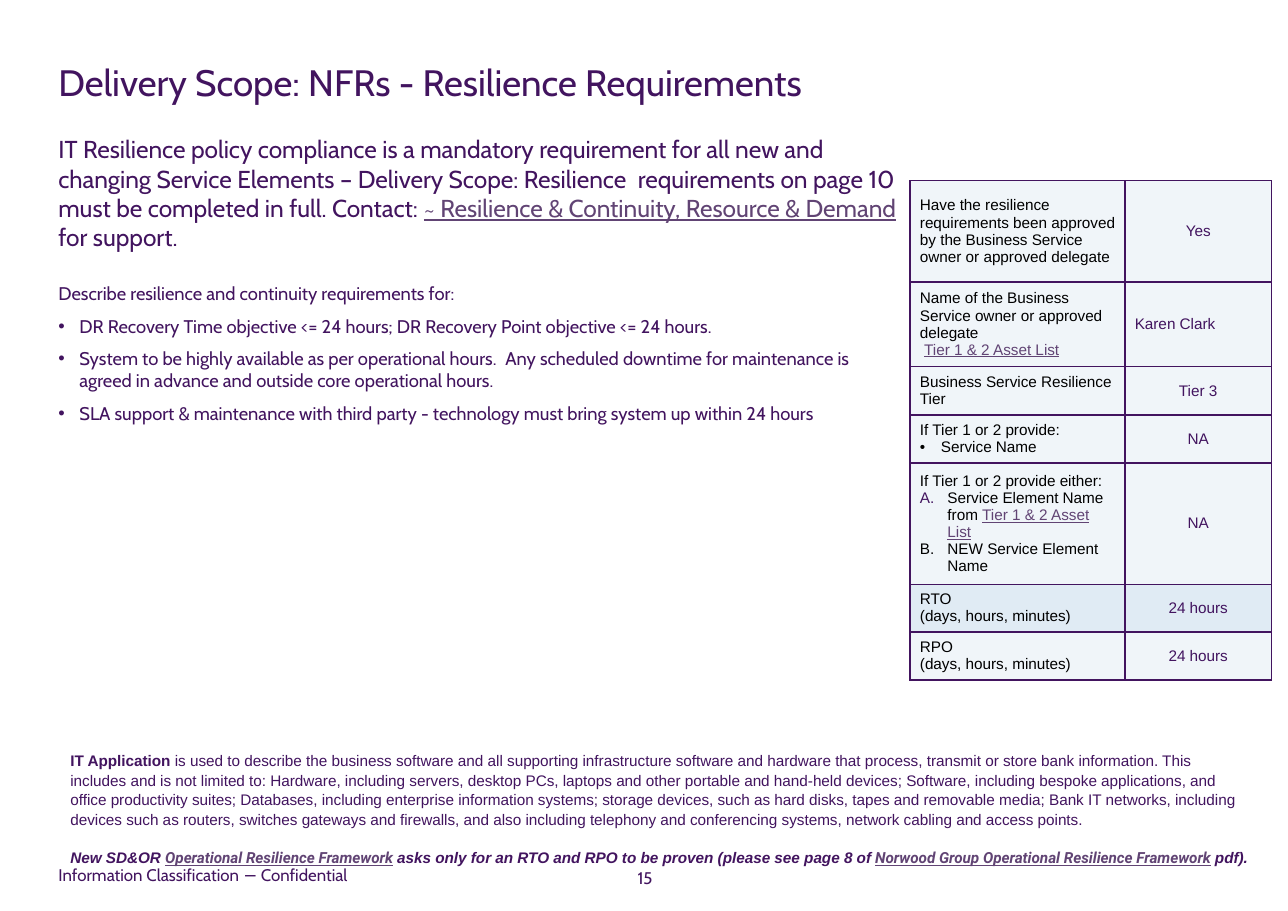
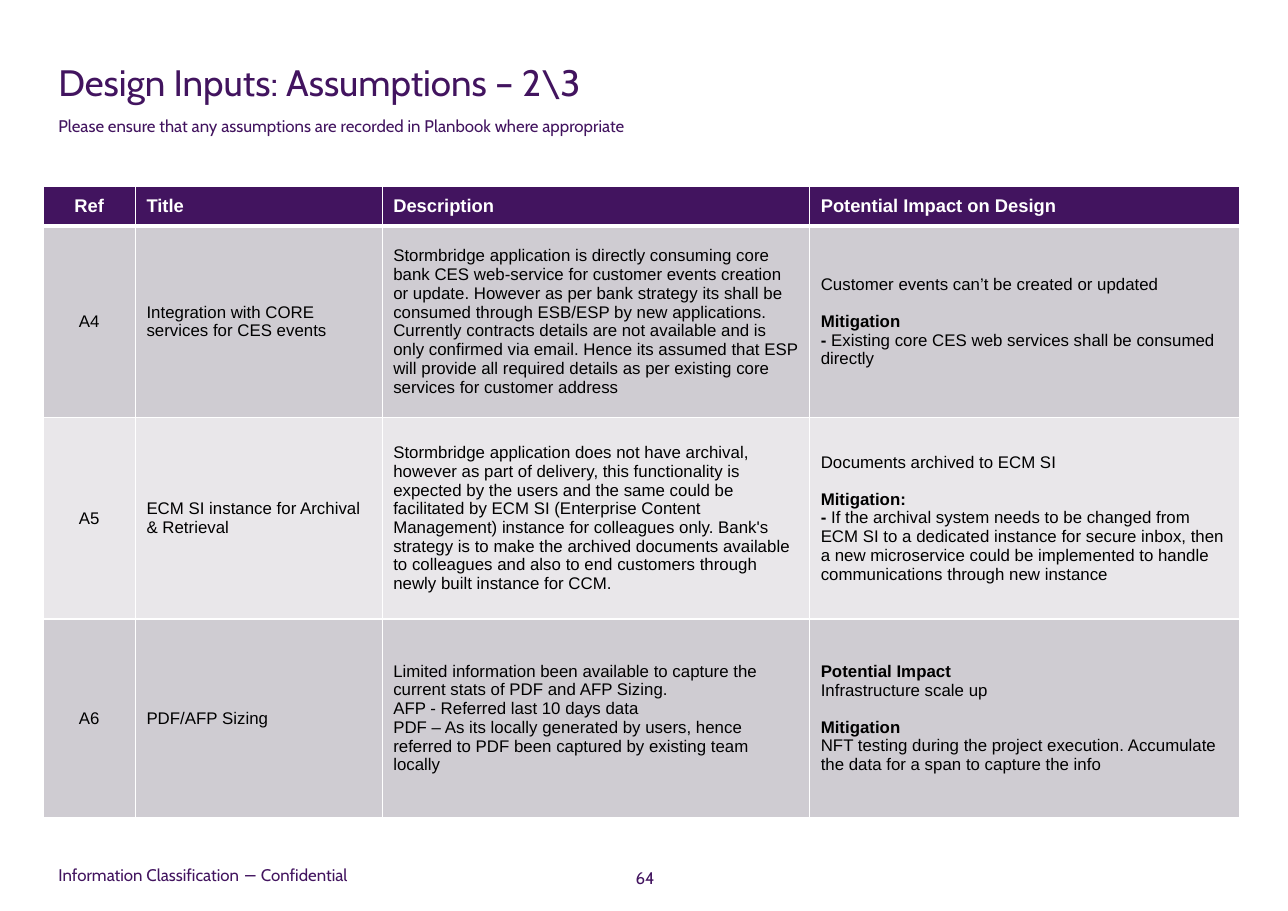
from dataclasses import dataclass, field

from lxml import etree
from pptx import Presentation, util as u
from pptx.dml.color import RGBColor
from pptx.enum import text
from pptx.oxml import ns

Inches, Pt = u.Inches, u.Pt
LEFT, CENTER = text.PP_ALIGN.LEFT, text.PP_ALIGN.CENTER
TOP, MIDDLE = text.MSO_ANCHOR.TOP, text.MSO_ANCHOR.MIDDLE


@dataclass
class Theme:
    purple: str = "42145F"
    link: str = "614474"
    black: str = "000000"
    white: str = "FFFFFF"
    pale_blue: str = "F0F5F9"
    mid_blue: str = "E0EBF4"
    dark_band: str = "CFCCD2"
    light_band: str = "E9E7EA"
    heading_font: str = "Cabin"
    body_font: str = "Arial"
    link_font: str = "Roboto"
    title: int = 24
    lead: int = 16
    heading: int = 12
    body: int = 11
    small: int = 10


@dataclass
class Para:
    runs: list
    bullet: str = ""
    indent: float = 0
    bullet_color: str = ""
    before: float = 0
    spacing: float = 0
    bold: bool = False
    italic: bool = False


@dataclass
class Box:
    at: tuple
    paragraphs: list
    size: int
    align: object = LEFT
    anchor: object = TOP
    font: str = Theme.heading_font
    margins: tuple = (0, 0)


@dataclass
class Page:
    title: str
    number: str
    boxes: list = field(default_factory=list)


theme = Theme()


def write(frame, paragraphs, size, font, color, align=LEFT, bold=False):
    for index, item in enumerate(paragraphs):
        item = Para([item]) if isinstance(item, str) else item
        paragraph = frame.paragraphs[0] if index == 0 else frame.add_paragraph()
        paragraph.alignment = align
        if item.before and index:
            paragraph.space_before = Pt(item.before)
        if item.spacing:
            paragraph.line_spacing = item.spacing
        if item.bullet:
            properties = paragraph._p.get_or_add_pPr()
            properties.set("marL", str(Inches(item.indent)))
            properties.set("indent", str(-Inches(item.indent)))
            if item.bullet_color:
                bullet_color = etree.SubElement(properties, ns.qn("a:buClr"))
                etree.SubElement(bullet_color, ns.qn("a:srgbClr"), val=item.bullet_color)
            if item.bullet == "•":
                etree.SubElement(properties, ns.qn("a:buFont"), typeface=theme.body_font)
                etree.SubElement(properties, ns.qn("a:buChar"), char=item.bullet)
            else:
                etree.SubElement(properties, ns.qn("a:buAutoNum"), type=item.bullet)
        paragraph.font.size = Pt(size)
        paragraph.font.name = font
        paragraph.font.bold = bold or item.bold
        paragraph.font.italic = item.italic
        paragraph.font.color.rgb = RGBColor.from_string(color)
        for part in item.runs:
            content, style = (part, "") if isinstance(part, str) else part
            run = paragraph.add_run()
            run.text = content
            if style == "bold":
                run.font.bold = True
            if style.startswith("link"):
                run.font.underline = True
                run.font.color.rgb = RGBColor.from_string(theme.link)
            if style == "link-roboto":
                run.font.name = theme.link_font


def add_grid(slide, at, widths, heights, fills, border, header_line=1):
    shape = slide.shapes.add_table(len(heights), len(widths), *map(Inches, at),
                                   Inches(sum(widths)), Inches(sum(heights)))
    table = shape.table
    table.first_row = table.horz_banding = False
    for column, width in zip(table.columns, widths):
        column.width = Inches(width)
    for row_index, (row, height, fill) in enumerate(zip(table.rows, heights, fills)):
        row.height = Inches(height)
        for cell in row.cells:
            cell.vertical_anchor = MIDDLE
            cell.fill.solid()
            cell.fill.fore_color.rgb = RGBColor.from_string(fill)
            for position, side in enumerate("LRTB"):
                under_header = (row_index, side) in ((0, "B"), (1, "T"))
                points = header_line if under_header else 1
                line = etree.Element(ns.qn(f"a:ln{side}"), w=str(Pt(points)))
                line_fill = etree.SubElement(line, ns.qn("a:solidFill"))
                etree.SubElement(line_fill, ns.qn("a:srgbClr"), val=border)
                cell._tc.get_or_add_tcPr().insert(position, line)
    return table


bullets = [
    "DR Recovery Time objective <= 24 hours; DR Recovery Point objective <= 24 hours.",
    "System to be highly available as per operational hours.\u00a0 Any scheduled downtime for "
    "maintenance is agreed in advance and outside core operational hours.",
    "SLA support & maintenance with third party - technology must bring system up within 24 hours",
]
resilience_boxes = [
    Box((0.53, 2.56, 7.61, 4.15),
        ["Describe resilience and continuity requirements for:"]
        + [Para([bullet], "•", 0.19, theme.purple, before=7) for bullet in bullets],
        theme.heading),
    Box((0.53, 1.22, 7.62, 1.2),
        [Para(["IT Resilience policy compliance is a mandatory requirement for all new and changing "
               "Service Elements – Delivery Scope: Resilience\u00a0 requirements on page 10 must be "
               "completed in full. Contact: ",
               ("~ Resilience & Continuity, Resource & Demand", "link"), " for support."])],
        theme.lead),
    Box((0.54, 6.76, 10.89, 1.11),
        [Para([("IT Application", "bold"),
               " is used to describe the business software and all supporting infrastructure software "
               "and hardware that process, transmit or store bank information. This includes and is not "
               "limited to: Hardware, including servers, desktop PCs, laptops and other portable and "
               "hand-held devices; Software, including bespoke applications, and office productivity "
               "suites; Databases, including enterprise information systems; storage devices, such as "
               "hard disks, tapes and removable media; Bank IT networks, including devices such as "
               "routers, switches gateways and firewalls, and also including telephony and conferencing "
               "systems, network cabling and access points."], spacing=1.07),
         Para(["New SD&OR ", ("Operational Resilience Framework", "link-roboto"),
               " asks only for an RTO and RPO to be proven (please see page 8 of ",
               ("Norwood Group Operational Resilience Framework", "link-roboto"), " pdf)."],
              before=12, spacing=1.07, bold=True, italic=True)],
        theme.small, font=theme.body_font, margins=(0.1, 0.05)),
]
assumption_boxes = [
    Box((0.53, 1.05, 10.63, 0.39),
        ["Please ensure that any assumptions are recorded in Planbook where appropriate"], theme.body),
]
pages = [
    Page("Delivery Scope: NFRs - Resilience Requirements", "15", resilience_boxes),
    Page("Design Inputs: Assumptions – 2\\3", "64", assumption_boxes),
]

presentation = Presentation()
presentation.slide_width = Inches(11.69)
presentation.slide_height = Inches(8.27)
slides = []
for page in pages:
    slide = presentation.slides.add_slide(presentation.slide_layouts[6])
    slides.append(slide)
    shared = [
        Box((0.53, 0.54, 9.37, 0.59), [page.title], theme.title),
        Box((0.53, 7.79, 2.72, 0.3), ["Information Classification − Confidential"],
            theme.body, anchor=MIDDLE),
        Box((5.53, 7.82, 0.65, 0.3), [page.number], theme.body, CENTER, MIDDLE),
    ]
    for box in shared + page.boxes:
        frame = slide.shapes.add_textbox(*map(Inches, box.at)).text_frame
        frame.word_wrap = True
        frame.vertical_anchor = box.anchor
        frame.margin_left = frame.margin_right = Inches(box.margins[0])
        frame.margin_top = frame.margin_bottom = Inches(box.margins[1])
        write(frame, box.paragraphs, box.size, box.font, theme.purple, box.align)

resilience_slide, assumptions_slide = slides

duration = "(days, hours, minutes)"
requirements = [
    (["Have the resilience requirements been approved by the Business Service owner or approved "
      "delegate"], "Yes", CENTER),
    (["Name of the Business Service owner or approved delegate",
      Para(["\u00a0", ("Tier 1 & 2 Asset List", "link")])], "Karen Clark", LEFT),
    (["Business Service Resilience Tier"], "Tier 3", CENTER),
    (["If Tier 1 or 2 provide:", Para(["Service Name"], "•", 0.19)], "NA", CENTER),
    (["If Tier 1 or 2 provide either:",
      Para(["Service Element Name from ", ("Tier 1 & 2 Asset List", "link")],
           "alphaUcPeriod", 0.25, theme.purple),
      Para(["NEW Service Element Name"], "alphaUcPeriod", 0.25)], "NA", CENTER),
    (["RTO", duration], "24 hours", CENTER),
    (["RPO", duration], "24 hours", CENTER),
]
requirement_fills = [theme.pale_blue] * 5 + [theme.mid_blue, theme.pale_blue]
table = add_grid(resilience_slide, (8.26, 1.64), [1.95, 1.33],
                 [0.92, 0.76, 0.44, 0.42, 1.09, 0.42, 0.42], requirement_fills, theme.purple)
for row, (question, answer, align) in zip(table.rows, requirements):
    for cell in row.cells:
        cell.margin_left = cell.margin_right = Inches(0.09)
    write(row.cells[0].text_frame, question, theme.small, theme.body_font, theme.black)
    write(row.cells[1].text_frame, [answer], theme.small, theme.body_font, theme.purple, align)

assumptions = [
    (["Ref"], ["Title"], ["Description"], ["Potential Impact on Design"]),
    (["A4"], ["Integration with CORE services for CES events"],
     ["Stormbridge application is directly consuming core bank CES web-service for customer events "
      "creation or update. However as per bank strategy its shall be consumed through ESB/ESP by new "
      "applications.",
      "Currently contracts details are not available and is only confirmed via email. Hence its assumed "
      "that ESP will provide all required details as per existing core services for customer address"],
     ["Customer events can’t be created or updated",
      Para(["Mitigation"], before=12, bold=True),
      Para([("- ", "bold"), "Existing core CES web services shall be consumed directly"])]),
    (["A5"], ["ECM SI instance for Archival & Retrieval"],
     ["Stormbridge application does not have archival, however as part of delivery, this functionality "
      "is expected by the users and the same could be",
      "facilitated by ECM SI (Enterprise Content Management) instance for colleagues only. Bank's "
      "strategy is to make the archived documents available to colleagues and also to end customers "
      "through newly built instance for CCM."],
     ["Documents archived to ECM SI",
      Para(["Mitigation:"], before=12, bold=True),
      Para([("- ", "bold"), "If the archival system needs to be changed from ECM SI to a dedicated "
            "instance for secure inbox, then a new microservice could be implemented to handle "
            "communications through new instance"])]),
    (["A6"], ["PDF/AFP Sizing"],
     ["Limited information been available to capture the current stats of PDF and AFP Sizing.",
      "AFP - Referred last 10 days data",
      "PDF – As its locally generated by users, hence referred to PDF been captured by existing team "
      "locally"],
     [Para(["Potential Impact"], bold=True), "Infrastructure scale up",
      Para(["Mitigation"], before=12, bold=True),
      "NFT testing during the project execution. Accumulate the data for a span to capture the info"]),
]
assumption_fills = [theme.purple, theme.dark_band, theme.light_band, theme.dark_band]
table = add_grid(assumptions_slide, (0.39, 1.69), [0.84, 2.24, 3.88, 3.9],
                 [0.36, 1.74, 1.83, 1.8], assumption_fills, theme.white, header_line=3)
for row_index, (row, contents) in enumerate(zip(table.rows, assumptions)):
    header = row_index == 0
    size, color = (theme.heading, theme.white) if header else (theme.body, theme.black)
    for column_index, (cell, paragraphs) in enumerate(zip(row.cells, contents)):
        align = CENTER if column_index == 0 else LEFT
        write(cell.text_frame, paragraphs, size, theme.body_font, color, align, header)

presentation.save("out.pptx")
